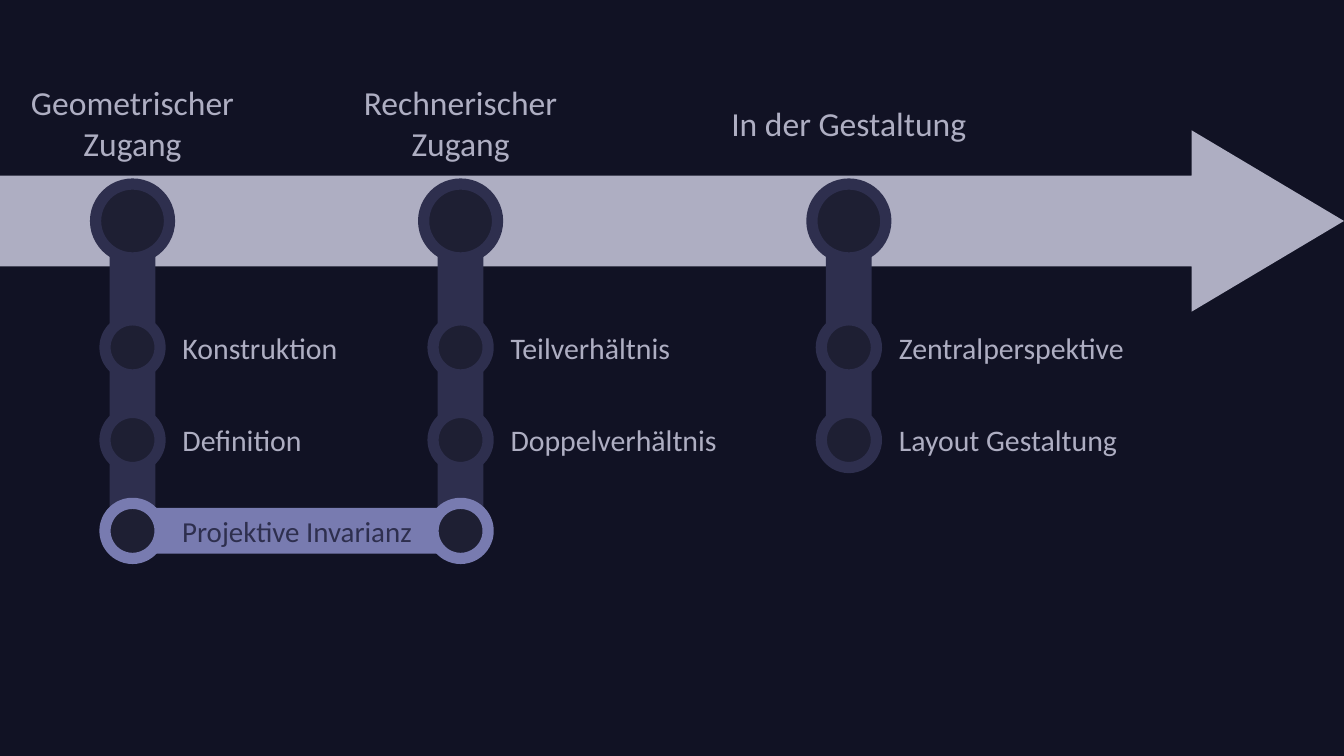
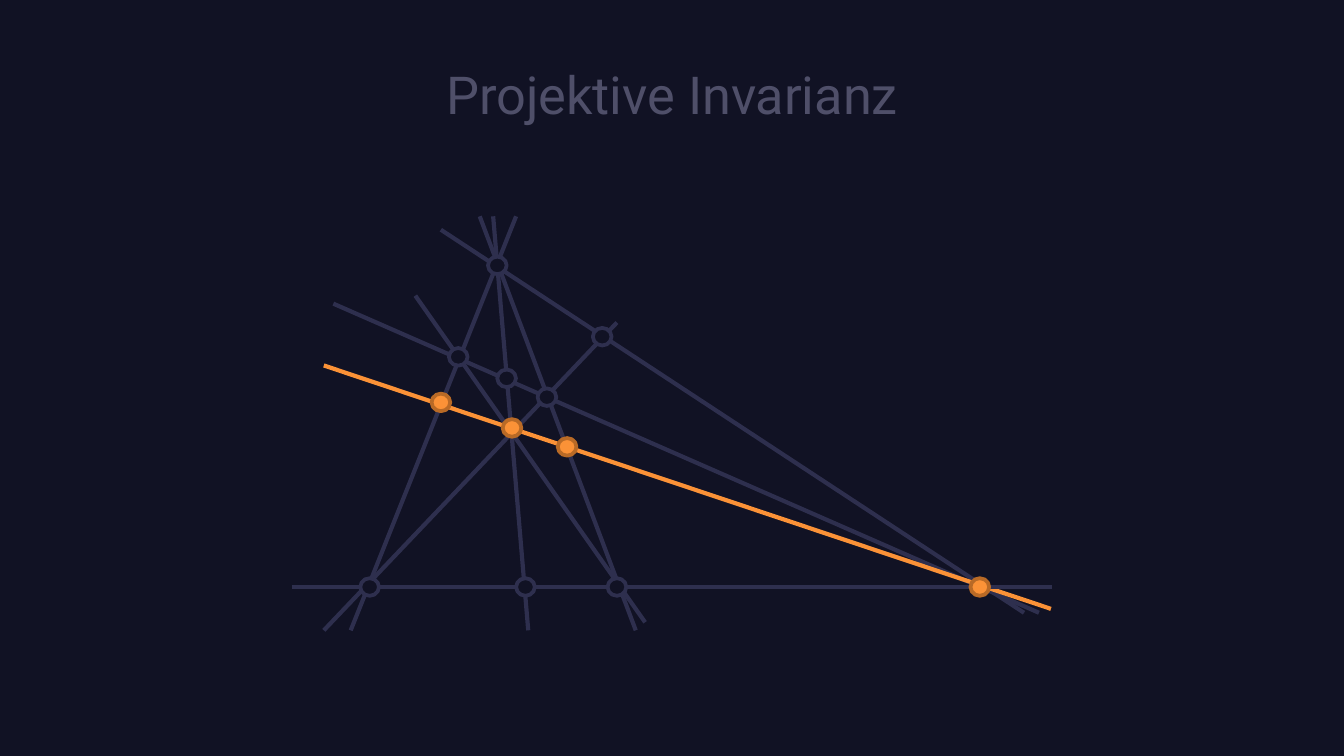
from pptx import Presentation
from pptx.dml.color import RGBColor
from pptx.enum import shapes, text
from pptx.oxml import xmlchemy
from pptx.util import Pt

# Shared palette and fonts
NIGHT, CORE, INDIGO = "111224", "1E1F33", "2E2F4E"
PALE, LILAC, SLATE = "AEAEC2", "787BB0", "4F4F69"
ORANGE, RUST = "FB9237", "B96A26"
BODY_FONT, TITLE_FONT = "Calibri", "Roboto"
SHAPE = shapes.MSO_SHAPE
CENTER, LEFT = text.PP_ALIGN.CENTER, text.PP_ALIGN.LEFT

# Timeline: column centres, station heights and sizes
ARROW_Y, HEADING_Y = 118.4, 65.7
STATION_Y = (186.1, 235.7)
LINK_Y = 284.4
BAND, HUB, STOP = 24.5, 39.6, 29.5
# centre x, heading, heading height, branch end, label width, stations
BRANCHES = [
    (71, "Geometrischer Zugang", 51, LINK_Y, 129.6,
     ("Konstruktion", "Definition")),
    (246.75, "Rechnerischer Zugang", 51, LINK_Y, 153.4,
     ("Teilverhältnis", "Doppelverhältnis")),
    (454.75, "In der Gestaltung", 29, STATION_Y[1], 153.4,
     ("Zentralperspektive", "Layout Gestaltung")),
]

# Construction: rays as (x1, y1, x2, y2), points as (x, y)
RAY_TOP, RAY_END, BASE_Y = 115.9, 337.7, 314.5
RAYS_BELOW = [
    (178.6, 162.7, 556.6, 328.3),
    (236.2, 123.1, 548.6, 328.3),
    (264.2, RAY_TOP, 283, RAY_END),
    (330.5, 172.8, 173.5, RAY_END),
    (222.5, 158.4, 345.6, 333.4),
]
ORANGE_RAY = (173.5, 195.8, 563, 326.2)
RAYS_ABOVE = [
    (276.5, RAY_TOP, 187.9, RAY_END),
    (257, RAY_TOP, 340.6, RAY_END),
]
BASELINE = (156.2, BASE_Y, 563.8, BASE_Y)
POINTS = [
    (266.4, 142.2), (330.5, BASE_Y), (281.5, BASE_Y), (198, BASE_Y),
    (245.5, 191.2), (271.4, 202.7), (293, 212.8), (322.6, 180.4),
]
ORANGE_POINTS = [
    (524.9, BASE_Y), (274.3, 229.3), (303.8, 239.4), (236.2, 215.6),
]


def rgb(color):
    return RGBColor.from_string(color)


def add_slide(deck):
    slide = deck.slides.add_slide(deck.slide_layouts[6])
    slide.background.fill.solid()
    slide.background.fill.fore_color.rgb = rgb(NIGHT)
    return slide


def add_figure(slide, kind, x, y, w, h, fill, outline=None, weight=0):
    figure = slide.shapes.add_shape(kind, Pt(x), Pt(y), Pt(w), Pt(h))
    figure.shadow.inherit = False
    figure.fill.solid()
    figure.fill.fore_color.rgb = rgb(fill)
    if outline:
        figure.line.color.rgb = rgb(outline)
        figure.line.width = Pt(weight)
    else:
        figure.line.fill.background()
    return figure


def add_node(slide, cx, cy, w, h, fill, outline, weight):
    add_figure(slide, SHAPE.OVAL, cx - w / 2, cy - h / 2, w, h,
               fill, outline, weight)


def add_ring(slide, cx, cy, size, outline=INDIGO):
    add_node(slide, cx, cy, size, size, CORE, outline, 6)


def add_label(slide, wording, x, cy, w, h, size, color,
              align=LEFT, font=BODY_FONT):
    box = slide.shapes.add_textbox(Pt(x), Pt(cy - h / 2), Pt(w), Pt(h))
    frame = box.text_frame
    frame.word_wrap = True
    frame.vertical_anchor = text.MSO_ANCHOR.MIDDLE
    paragraph = frame.paragraphs[0]
    paragraph.text = wording
    paragraph.alignment = align
    paragraph.font.size = Pt(size)
    paragraph.font.name = font
    paragraph.font.color.rgb = rgb(color)


def add_ray(slide, ends, color=INDIGO, weight=2.25):
    ray = slide.shapes.add_connector(shapes.MSO_CONNECTOR.STRAIGHT,
                                     *(Pt(value) for value in ends))
    ray.line.color.rgb = rgb(color)
    ray.line.width = Pt(weight)
    ray._element.spPr.append(xmlchemy.OxmlElement("a:effectLst"))


def add_branch(slide, cx, heading, heading_h, end_y, label_w, stations):
    top = 105.1
    add_figure(slide, SHAPE.RECTANGLE, cx - BAND / 2, top,
               BAND, end_y - top, INDIGO)
    add_ring(slide, cx, ARROW_Y, HUB)
    add_label(slide, heading, cx - 72, HEADING_Y, 144, heading_h,
              18, PALE, CENTER)
    for cy, station in zip(STATION_Y, stations):
        add_ring(slide, cx, cy, STOP)
        add_label(slide, station, cx + 19.7, cy, label_w, 26.6, 16, PALE)


def add_link(slide, start, end):
    add_figure(slide, SHAPE.RECTANGLE, start, LINK_Y - BAND / 2,
               end - start, BAND, LILAC)
    add_label(slide, "Projektive Invarianz", start + 12.5, LINK_Y,
              151.2, 26, 15.5, INDIGO, CENTER)
    for cx in (start, end):
        add_ring(slide, cx, LINK_Y, STOP, LILAC)


def build_timeline(deck):
    slide = add_slide(deck)
    arrow = add_figure(slide, SHAPE.RIGHT_ARROW, -0.7, ARROW_Y - 48.6,
                       720.7, 97.2, PALE)
    arrow.adjustments[0] = 0.5
    arrow.adjustments[1] = 0.84
    for branch in BRANCHES:
        add_branch(slide, *branch)
    add_link(slide, BRANCHES[0][0], BRANCHES[1][0])


def build_construction(deck):
    slide = add_slide(deck)
    add_label(slide, "Projektive Invarianz", 36, 50.4, 648, 67.7,
              28, SLATE, CENTER, TITLE_FONT)
    # Rays, with the orange section line between them
    for ends in RAYS_BELOW:
        add_ray(slide, ends)
    add_ray(slide, ORANGE_RAY, ORANGE)
    for ends in RAYS_ABOVE:
        add_ray(slide, ends)
    add_ray(slide, BASELINE, weight=2)
    # Intersection points
    for points, fill, outline in ((POINTS, NIGHT, INDIGO),
                                  (ORANGE_POINTS, ORANGE, RUST)):
        for cx, cy in points:
            add_node(slide, cx, cy, 10, 9.4, fill, outline, 2)


def main():
    deck = Presentation()
    deck.slide_width, deck.slide_height = Pt(720), Pt(405)
    build_timeline(deck)
    build_construction(deck)
    deck.save("out.pptx")


if __name__ == "__main__":
    main()
